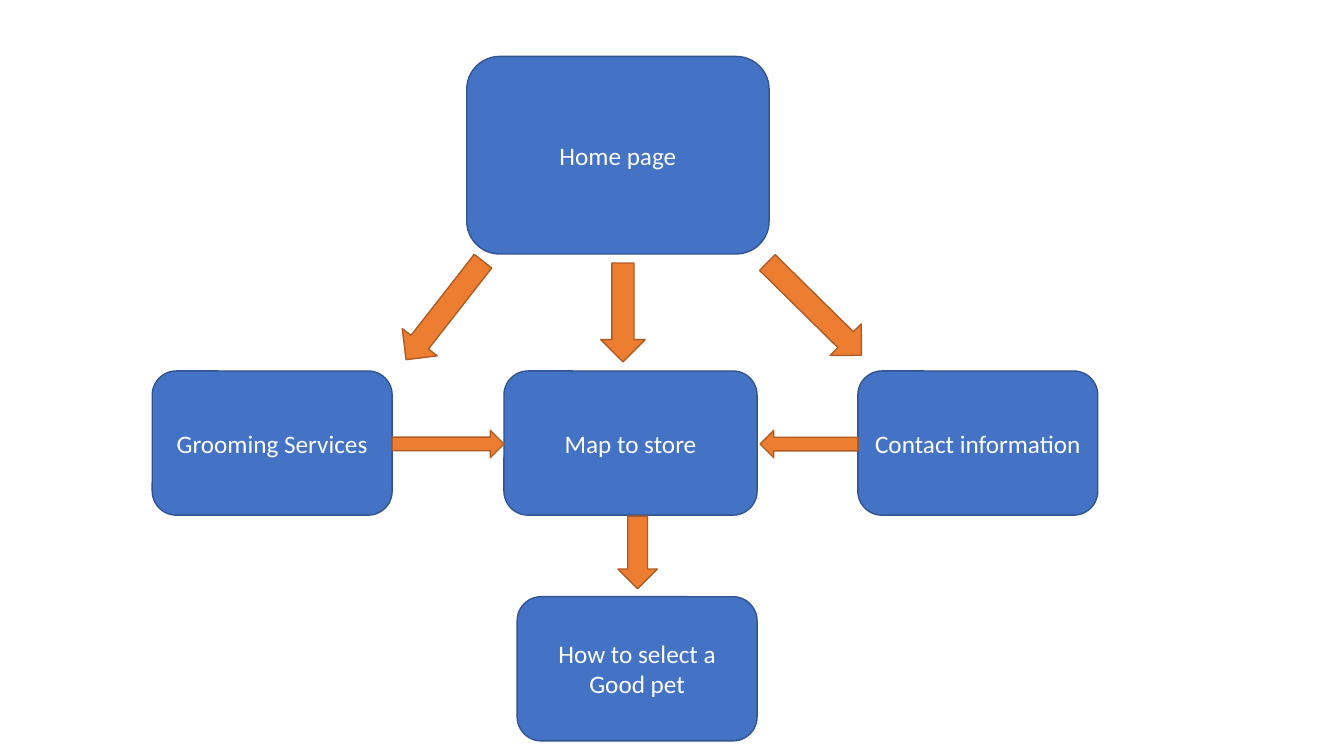
from dataclasses import dataclass

from pptx import Presentation
from pptx import util as u
from pptx.dml.color import RGBColor
from pptx.enum import shapes, text

COLORS = {
    "page": "4472C4", "page_line": "325491",
    "arrow": "ED7D31", "arrow_line": "AF5C24",
    "label": "FFFFFF",
}
LABEL_FORMAT = {"name": "Calibri", "size": u.Pt(18)}
SLIDE_WIDTH, SLIDE_HEIGHT = u.Inches(13.33), u.Inches(7.5)

# Shares of the slide's width and height, in percent
PAGE_WIDTH, PAGE_HEIGHT = 17.85, 19.07
MIDDLE_ROW, BOTTOM_ROW = 49.07, 78.93
GROOMING_LEFT, MAP_LEFT, CONTACT_LEFT = 11.33, 37.5, 63.83
GROOMING_RIGHT = GROOMING_LEFT + PAGE_WIDTH
MAP_WIDTH = 18.83
MAP_RIGHT = MAP_LEFT + MAP_WIDTH
MAP_ARROW_LEFT = 56.55
SIDE_ARROW_HEIGHT = 3.6
SIDE_ARROW_TOP = MIDDLE_ROW + (PAGE_HEIGHT - SIDE_ARROW_HEIGHT) / 2 + 0.13
DOWN_ARROW_WIDTH = 3.3

ROUNDED = shapes.MSO_SHAPE.ROUNDED_RECTANGLE
DOWN = shapes.MSO_SHAPE.DOWN_ARROW
RIGHT = shapes.MSO_SHAPE.RIGHT_ARROW


@dataclass
class Page:
    label: str
    left: float
    top: float
    width: float = PAGE_WIDTH
    height: float = PAGE_HEIGHT


@dataclass
class Arrow:
    kind: shapes.MSO_SHAPE
    left: float
    top: float
    width: float
    height: float
    rotation: float = 0


PAGES = [
    Page("Home page", 34.73, 7.47, 22.5, 26.13),
    Page("Grooming Services", GROOMING_LEFT, MIDDLE_ROW),
    Page("Map to store", MAP_LEFT, MIDDLE_ROW, MAP_WIDTH),
    Page("Contact information", CONTACT_LEFT, MIDDLE_ROW),
    Page("How to select a Good pet", MAP_RIGHT - PAGE_WIDTH, BOTTOM_ROW),
]
ARROWS = [
    Arrow(DOWN, 44.7, 34.8, DOWN_ARROW_WIDTH, 13.07),
    Arrow(DOWN, 58.95, 32.13, DOWN_ARROW_WIDTH, 17.47, 314.6),
    Arrow(DOWN, 31.43, 32.8, DOWN_ARROW_WIDTH, 16.53, 38),
    Arrow(RIGHT, GROOMING_RIGHT, SIDE_ARROW_TOP,
          MAP_LEFT - GROOMING_RIGHT, SIDE_ARROW_HEIGHT),
    Arrow(RIGHT, MAP_ARROW_LEFT, SIDE_ARROW_TOP,
          CONTACT_LEFT - MAP_ARROW_LEFT, SIDE_ARROW_HEIGHT, 180),
    Arrow(DOWN, 45.98, 68.27, 2.93, 9.6),
]


def color(name: str) -> RGBColor:
    return RGBColor.from_string(COLORS[name])


def draw_shape(slide, kind: shapes.MSO_SHAPE, part: Page | Arrow, fill: str):
    shape = slide.shapes.add_shape(
        kind,
        round(SLIDE_WIDTH * part.left / 100), round(SLIDE_HEIGHT * part.top / 100),
        round(SLIDE_WIDTH * part.width / 100), round(SLIDE_HEIGHT * part.height / 100))
    shape.shadow.inherit = False
    shape.fill.solid()
    shape.fill.fore_color.rgb = color(fill)
    shape.line.color.rgb = color(f"{fill}_line")
    shape.line.width = u.Pt(1)
    return shape


def draw_page(slide, page: Page) -> None:
    shape = draw_shape(slide, ROUNDED, page, "page")
    frame = shape.text_frame
    frame.word_wrap = True
    frame.vertical_anchor = text.MSO_ANCHOR.MIDDLE
    paragraph = frame.paragraphs[0]
    paragraph.alignment = text.PP_ALIGN.CENTER
    run = paragraph.add_run()
    run.text = page.label
    for attribute, value in LABEL_FORMAT.items():
        setattr(run.font, attribute, value)
    run.font.color.rgb = color("label")


def draw_arrow(slide, arrow: Arrow) -> None:
    draw_shape(slide, arrow.kind, arrow, "arrow").rotation = arrow.rotation


presentation = Presentation()
presentation.slide_width, presentation.slide_height = SLIDE_WIDTH, SLIDE_HEIGHT
slide = presentation.slides.add_slide(presentation.slide_layouts[6])

# Site pages
for page in PAGES:
    draw_page(slide, page)

# Links between the pages
for arrow in ARROWS:
    draw_arrow(slide, arrow)

presentation.save("out.pptx")
